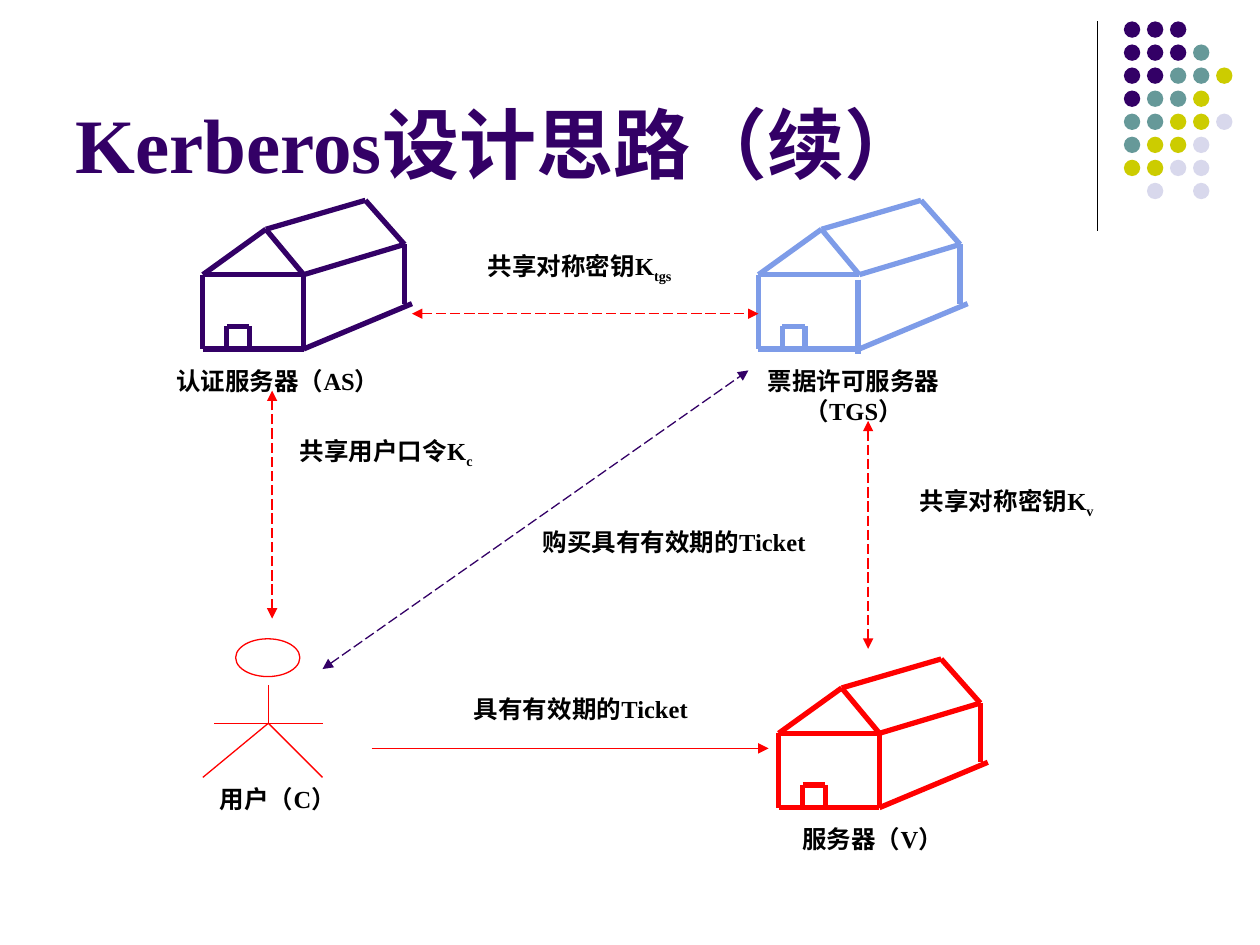
import pptx
import pptx.util
import pptx.dml.color
import pptx.enum.dml
import pptx.enum.shapes
import pptx.enum.text
import pptx.oxml
import pptx.oxml.ns
from dataclasses import dataclass

Inches = pptx.util.Inches


@dataclass(frozen=True)
class Theme:
    font: str = "Times New Roman"
    title_size: float = 44
    label_size: float = 14
    thin: float = 0.75
    thick: float = 3
    purple: str = "330066"
    teal: str = "669999"
    lime: str = "CCCC00"
    lavender: str = "D8D8EC"
    blue: str = "7E9CE8"
    red: str = "FF0000"
    black: str = "000000"


THEME = Theme()

TITLE = ("Kerberos设计思路（续）", 0.5, 0.13, 8.25, 1.42)

LABELS = [
    ("认证服务器（AS）", "", 1.22, 2.86, 1.97, 0.33),
    ("票据许可服务器（TGS）", "", 5.79, 2.86, 1.97, 0.57),
    ("服务器（V）", "", 5.94, 6.49, 1.97, 0.33),
    ("用户（C）", "", 1.22, 6.17, 1.97, 0.33),
    ("共享对称密钥K", "tgs", 3.5, 1.94, 2.2, 0.33),
    ("共享对称密钥K", "v", 6.89, 3.81, 2.2, 0.33),
    ("共享用户口令K", "c", 2.24, 3.41, 1.65, 0.33),
    ("购买具有有效期的Ticket", "", 4.13, 4.13, 2.44, 0.33),
    ("具有有效期的Ticket", "", 3.35, 5.46, 2.52, 0.33),
]

MESSAGES = [
    ((2.95, 5.94), (6.1, 5.94), THEME.red, False),
    ((3.27, 2.49), (6.02, 2.49), THEME.red, True),
    ((6.89, 3.34), (6.89, 5.15), THEME.red, True),
    ((2.16, 4.91), (2.16, 3.1), THEME.red, True),
    ((2.56, 5.31), (5.94, 2.94), THEME.purple, True),
]

HOUSES = [
    ((6.02, 1.59), THEME.blue, (-0.01, 0.04)),
    ((6.18, 5.23), THEME.red, (0, 0)),
    ((1.61, 1.59), THEME.purple, (0, 0)),
]
GABLE, RIDGE = (0.5, 0.23), (1.29, 0)
EAVE_LEFT, EAVE_FRONT, EAVE_BACK = (0, 0.59), (0.8, 0.59), (1.6, 0.35)
BASE_LEFT, BASE_FRONT = (0, 1.18), (0.8, 1.18)
BASE_BACK, BASE_END = (1.6, 0.82), (1.66, 0.82)
DOOR = [(0.19, 1.18), (0.19, 1), (0.37, 1), (0.37, 1.18)]
FRONT_WALL = (EAVE_FRONT, BASE_FRONT)
HOUSE_EDGES = [
    (GABLE, EAVE_LEFT), (GABLE, EAVE_FRONT), (EAVE_LEFT, EAVE_FRONT),
    (GABLE, RIDGE), (RIDGE, EAVE_BACK), (EAVE_FRONT, EAVE_BACK),
    (EAVE_LEFT, BASE_LEFT), FRONT_WALL, (BASE_LEFT, BASE_FRONT),
    (BASE_FRONT, BASE_END), (EAVE_BACK, BASE_BACK), *zip(DOOR, DOOR[1:]),
]

USER_HEAD = (1.87, 5.07, 0.51, 0.3)
HIP = (2.13, 5.74)
USER_LIMBS = [((2.13, 5.44), HIP), (HIP, (1.61, 6.17)),
              (HIP, (2.56, 6.17)), ((1.7, 5.74), (2.56, 5.74))]

DIVIDER = ((8.71, 0.17), (8.71, 1.83))
DOT_ROWS = ["PPP", "PPPT", "PPTTL", "PTTL", "TTLLV", "TLLV", "LLVV", " V V"]
DOT_COLORS = {"P": THEME.purple, "T": THEME.teal, "L": THEME.lime, "V": THEME.lavender}
DOT_LEFT, DOT_TOP, DOT_PITCH, DOT_SIZE = 8.92, 0.17, 0.183, 0.13


def rgb(color):
    return pptx.dml.color.RGBColor.from_string(color)


def add_line(shapes, start, end, color, width, dashed=False, arrows=()):
    connector = shapes.add_connector(
        pptx.enum.shapes.MSO_CONNECTOR.STRAIGHT, *map(Inches, (*start, *end)))
    connector.line.color.rgb = rgb(color)
    connector.line.width = pptx.util.Pt(width)
    if dashed:
        connector.line.dash_style = pptx.enum.dml.MSO_LINE.LONG_DASH
    properties = connector._element.spPr
    outline = properties.find(pptx.oxml.ns.qn("a:ln"))
    for arrow in arrows:
        outline.append(pptx.oxml.parse_xml(
            f'<a:{arrow} {pptx.oxml.ns.nsdecls("a")} type="triangle"/>'))
    properties.append(pptx.oxml.parse_xml(
        f'<a:effectLst {pptx.oxml.ns.nsdecls("a")}/>'))


def add_ellipse(shapes, box, fill=None, line=None):
    shape = shapes.add_shape(pptx.enum.shapes.MSO_SHAPE.OVAL, *map(Inches, box))
    shape.shadow.inherit = False
    if fill:
        shape.fill.solid()
        shape.fill.fore_color.rgb = rgb(fill)
    else:
        shape.fill.background()
    if line:
        shape.line.color.rgb = rgb(line)
        shape.line.width = pptx.util.Pt(THEME.thin)
    else:
        shape.line.fill.background()


def add_text(slide, box, runs, size, color, alignment, anchor):
    frame = slide.shapes.add_textbox(*map(Inches, box)).text_frame
    frame.word_wrap = True
    frame.vertical_anchor = anchor
    paragraph = frame.paragraphs[0]
    paragraph.alignment = alignment
    for text, baseline in runs:
        run = paragraph.add_run()
        run.text = text
        run.font.name = THEME.font
        run.font.size = pptx.util.Pt(size)
        run.font.bold = True
        run.font.color.rgb = rgb(color)
        if baseline:
            run._r.get_or_add_rPr().set("baseline", str(baseline))


def add_dots(slide):
    group = slide.shapes.add_group_shape()
    for row, codes in enumerate(DOT_ROWS):
        for column, code in enumerate(codes):
            if code in DOT_COLORS:
                box = (DOT_LEFT + column * DOT_PITCH, DOT_TOP + row * DOT_PITCH,
                       DOT_SIZE, DOT_SIZE)
                add_ellipse(group.shapes, box, fill=DOT_COLORS[code])


def add_house(slide, origin, color, wall_shift):
    group = slide.shapes.add_group_shape()
    for edge in HOUSE_EDGES:
        shift = wall_shift if edge == FRONT_WALL else (0, 0)
        start, end = [tuple(map(sum, zip(origin, point, shift))) for point in edge]
        add_line(group.shapes, start, end, color, THEME.thick)


def add_user(slide):
    group = slide.shapes.add_group_shape()
    add_ellipse(group.shapes, USER_HEAD, line=THEME.red)
    for start, end in USER_LIMBS:
        add_line(group.shapes, start, end, THEME.red, THEME.thin)


def main():
    presentation = pptx.Presentation()
    presentation.slide_width = Inches(10)
    presentation.slide_height = Inches(7.5)
    slide = presentation.slides.add_slide(presentation.slide_layouts[6])
    align = pptx.enum.text.PP_ALIGN
    anchor = pptx.enum.text.MSO_ANCHOR

    add_line(slide.shapes, *DIVIDER, THEME.black, THEME.thin)
    add_dots(slide)
    title, *title_box = TITLE
    add_text(slide, title_box, [(title, 0)], THEME.title_size, THEME.purple,
             align.LEFT, anchor.BOTTOM)
    for house in HOUSES:
        add_house(slide, *house)
    add_user(slide)
    for start, end, color, mutual in MESSAGES:
        arrows = ("headEnd", "tailEnd") if mutual else ("tailEnd",)
        add_line(slide.shapes, start, end, color, THEME.thin, mutual, arrows)
    for text, subscript, *box in LABELS:
        runs = [(text, 0)] + ([(subscript, -25000)] if subscript else [])
        add_text(slide, box, runs, THEME.label_size, THEME.black,
                 align.CENTER, anchor.TOP)
    presentation.save("out.pptx")


if __name__ == "__main__":
    main()
